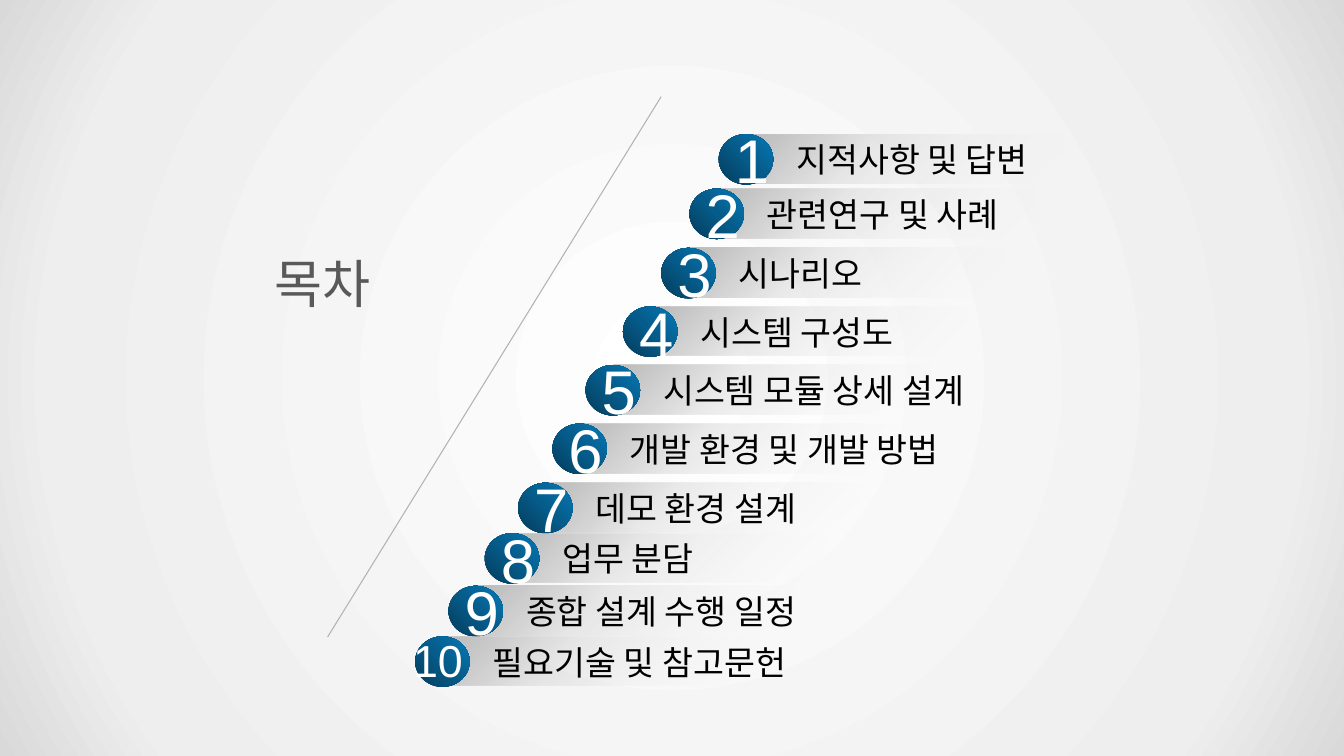
from lxml.etree import SubElement
from pptx import Presentation
from pptx.dml.color import RGBColor
from pptx.enum.shapes import MSO_CONNECTOR, MSO_SHAPE
from pptx.enum.text import MSO_ANCHOR, MSO_AUTO_SIZE, PP_ALIGN
from pptx.oxml.ns import qn
from pptx.util import Pt

WHITE = RGBColor(0xFF, 0xFF, 0xFF)
BLACK = RGBColor(0x00, 0x00, 0x00)
TITLE_GRAY = RGBColor(0x59, 0x59, 0x59)
LINE_GRAY = RGBColor(0xB2, 0xB2, 0xB2)
BAR_GRAY = RGBColor(0xBF, 0xBF, 0xBF)
PALE_GRAY = RGBColor(0xEE, 0xEE, 0xEE)
EDGE_GRAY = RGBColor(0xD9, 0xD9, 0xD9)
DEEP_BLUE = RGBColor(0x04, 0x3C, 0x5C)
MID_BLUE = RGBColor(0x05, 0x5B, 0x89)
BRIGHT_BLUE = RGBColor(0x07, 0x79, 0xB7)

HEADING = "목차"
CHAPTERS = [
    ("지적사항 및 답변", 513.4, 95.8, 200),
    ("관련연구 및 사례", 492.5, 134.8, 200),
    ("시나리오", 472.3, 177.1, 200),
    ("시스템 구성도", 445, 218.9, 200),
    ("시스템 모듈 상세 설계", 418.3, 260.8, 273),
    ("개발 환경 및 개발 방법", 394.6, 302.6, 276.5),
    ("데모 환경 설계", 370.1, 344.9, 200),
    ("업무 분담", 346.3, 380.9, 200),
    ("종합 설계 수행 일정", 320.4, 418.5, 226),
    ("필요기술 및 참고문헌", 296.6, 454.6, 250),
]

BACKDROP = [(0, WHITE, 100), (81, PALE_GRAY, 100), (100, EDGE_GRAY, 100)]
BAR_FADE = [(5, BAR_GRAY, 100), (37, BAR_GRAY, 31), (100, WHITE, 0)]
BALL_BLUES = [(0, DEEP_BLUE, 100), (50, MID_BLUE, 100), (100, BRIGHT_BLUE, 100)]

BALL_WIDTH, BALL_HEIGHT = 38.9, 36
BAR_SHIFT, BAR_WIDTH, BAR_HEIGHT = 20.2, 226, 35.3
LABEL_SHIFT = 48.3

TITLE_FONT = {"name": "Calibri", "size": Pt(37.3), "bold": False}
LABEL_FONT = {"name": "Calibri", "size": Pt(24)}
DIGIT_FONT = {"name": "Arial", "size": Pt(44)}
TEN_FONT = {"name": "Arial", "size": Pt(32)}
MIDDLE = {"word_wrap": True, "vertical_anchor": MSO_ANCHOR.MIDDLE}
BALL_FRAME = {**MIDDLE, "margin_left": Pt(5.8), "margin_right": Pt(5.8),
              "margin_top": Pt(7.2), "margin_bottom": Pt(7.2)}
TITLE_FRAME = {**MIDDLE, "auto_size": MSO_AUTO_SIZE.NONE}
LABEL_FRAME = {**MIDDLE, "auto_size": MSO_AUTO_SIZE.SHAPE_TO_FIT_TEXT}
TEN_FRAME = {**LABEL_FRAME, "vertical_anchor": MSO_ANCHOR.TOP}


def apply(target, values):
    for key, value in values.items():
        setattr(target, key, value)


def write(holder, text, frame, font, color):
    holder.text_frame.text = text
    apply(holder.text_frame, frame)
    paragraph = holder.text_frame.paragraphs[0]
    paragraph.alignment = PP_ALIGN.LEFT
    apply(paragraph.runs[0].font, font)
    paragraph.runs[0].font.color.rgb = color


def paint(fill, properties, stops, angle=None):
    fill.solid()
    solid = properties.find(qn("a:solidFill"))
    gradient = SubElement(properties, qn("a:gradFill"), rotWithShape="1")
    properties.replace(solid, gradient)
    stop_list = SubElement(gradient, qn("a:gsLst"))
    for position, color, opacity in stops:
        stop = SubElement(stop_list, qn("a:gs"), pos=str(position * 1000))
        tint = SubElement(stop, qn("a:srgbClr"), val=str(color))
        if opacity < 100:
            SubElement(tint, qn("a:alpha"), val=str(opacity * 1000))
    if angle is None:
        circle = SubElement(gradient, qn("a:path"), {"path": "circle"})
        sides = dict.fromkeys("ltrb", "50000")
        SubElement(circle, qn("a:fillToRect"), sides)
    else:
        SubElement(gradient, qn("a:lin"), ang=str(angle * 60000), scaled="0")


def add_gradient_shape(shapes, kind, box, stops, angle):
    shape = shapes.add_shape(kind, *map(Pt, box))
    shape.shadow.inherit = False
    shape.line.fill.background()
    paint(shape.fill, shape._element.spPr, stops, angle)
    return shape


def add_chapter(slide, number, label, left, top, label_width):
    row = slide.shapes.add_group_shape().shapes
    add_gradient_shape(row, MSO_SHAPE.RECTANGLE,
                       (left + BAR_SHIFT, top, BAR_WIDTH, BAR_HEIGHT), BAR_FADE, 45)
    caption = row.add_textbox(Pt(left + LABEL_SHIFT), Pt(top), Pt(label_width), Pt(BALL_HEIGHT))
    write(caption, label, LABEL_FRAME, LABEL_FONT, BLACK)
    ball = add_gradient_shape(row, MSO_SHAPE.OVAL,
                              (left, top, BALL_WIDTH, BALL_HEIGHT), BALL_BLUES, 315)
    if number < 10:
        write(ball, str(number), BALL_FRAME, DIGIT_FONT, WHITE)
    else:
        ten = slide.shapes.add_textbox(Pt(left - 8.6), Pt(top - 6), Pt(72), Pt(46))
        write(ten, str(number), TEN_FRAME, TEN_FONT, WHITE)


def main():
    deck = Presentation()
    deck.slide_width, deck.slide_height = Pt(960), Pt(540)
    slide = deck.slides.add_slide(deck.slide_layouts[5])
    backdrop = slide.background.fill
    backdrop.solid()
    paint(backdrop, slide._element.find(".//" + qn("p:bgPr")), BACKDROP)

    title = slide.shapes.title
    apply(title, {"left": Pt(188.6), "top": Pt(173.5), "width": Pt(126.7), "height": Pt(56.2)})
    write(title, HEADING, TITLE_FRAME, TITLE_FONT, TITLE_GRAY)

    for number, chapter in enumerate(CHAPTERS, 1):
        add_chapter(slide, number, *chapter)

    slant = slide.shapes.add_connector(MSO_CONNECTOR.STRAIGHT, Pt(234), Pt(455), Pt(472.3), Pt(69))
    slant.line.color.rgb = LINE_GRAY
    slant.line.width = Pt(0.75)
    SubElement(slant._element.spPr, qn("a:effectLst"))
    deck.save("out.pptx")


if __name__ == "__main__":
    main()
